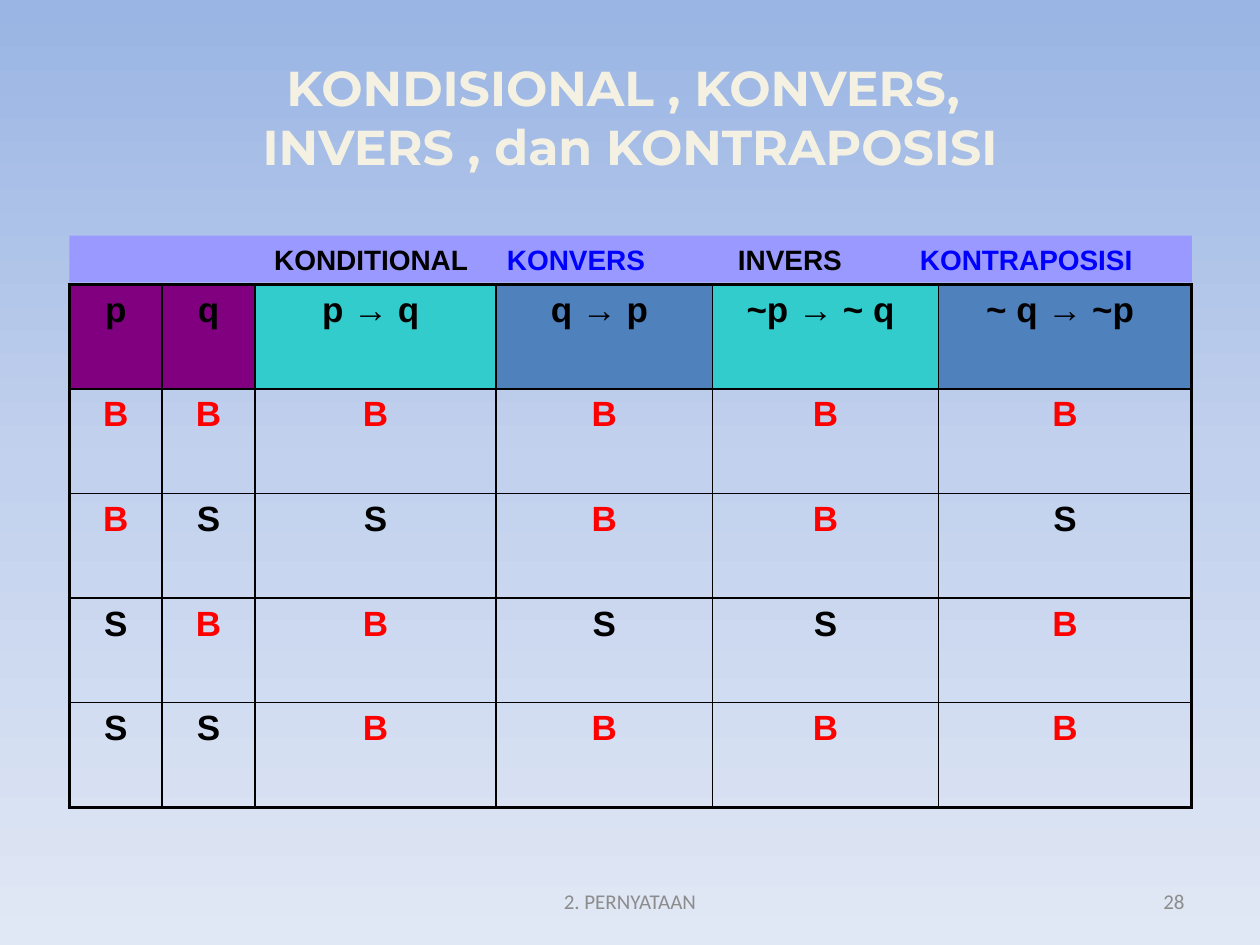
from copy import deepcopy

from lxml import etree
from pptx import Presentation
from pptx.dml.color import RGBColor
from pptx.enum.shapes import MSO_SHAPE
from pptx.enum.text import MSO_ANCHOR, PP_ALIGN
from pptx.oxml.ns import qn
from pptx.util import Pt

CENTER, RIGHT, LEFT = PP_ALIGN.CENTER, PP_ALIGN.RIGHT, PP_ALIGN.LEFT
MIDDLE = MSO_ANCHOR.MIDDLE
RECTANGLE = MSO_SHAPE.RECTANGLE

COLORS = {
    "sky_top": "9AB5E4", "sky_middle": "C2D1ED", "sky_bottom": "E1E8F5",
    "title": "F4F1E3", "outline": "054697", "footer": "8C8C8C",
    "black": "000000", "red": "FF0000", "blue": "0000FF",
    "bar": "9999FF", "purple": "800080", "teal": "33CCCC", "steel": "4F81BD",
}
TITLE = {"name": "Montserrat", "size": Pt(28), "bold": True}
FOOTER = {"name": "Calibri", "size": Pt(12)}
CELL = {"name": "Arial", "size": Pt(20), "bold": True}
LABEL = {"name": "Arial", "size": Pt(16), "bold": True}


def add_run(p, text, style, color):
    r = p.add_run()
    r.text = text
    for key, value in style.items():
        setattr(r.font, key, value)
    r.font.color.rgb = RGBColor.from_string(COLORS[color])
    return r


def add_line(parent, index, tag, width, color):
    ln = etree.Element(qn(tag), w=str(Pt(width)))
    fill = etree.SubElement(ln, qn("a:solidFill"))
    etree.SubElement(fill, qn("a:srgbClr"), val=COLORS[color])
    parent.insert(index, ln)


prs = Presentation()
prs.slide_width, prs.slide_height = Pt(720), Pt(540)
s = prs.slides.add_slide(prs.slide_layouts[5])

fill = s.background.fill
fill.gradient()
fill.gradient_angle = 270
stops = s.background._cSld.find(".//" + qn("a:gsLst"))
stops.append(deepcopy(stops[0]))
for stop, position, color in zip(fill.gradient_stops, (0, 0.5, 1),
                                 ("sky_top", "sky_middle", "sky_bottom")):
    stop.position = position
    stop.color.rgb = RGBColor.from_string(COLORS[color])

title = s.shapes.title
title.left, title.top, title.width, title.height = Pt(36), Pt(21.6), Pt(648), Pt(90)
tf = title.text_frame
tf.vertical_anchor = MIDDLE
p = tf.paragraphs[0]
p.alignment = CENTER
for i, text in enumerate(("KONDISIONAL , KONVERS, ", "INVERS , dan KONTRAPOSISI")):
    if i:
        p.add_line_break()
    r = add_run(p, text, TITLE, "title")
    add_line(r.font._element, 0, "a:ln", 1, "outline")

for left, width, text, align in ((246, 228, "2. PERNYATAAN", CENTER), (516, 168, "28", RIGHT)):
    sp = s.shapes.add_textbox(Pt(left), Pt(500.5), Pt(width), Pt(28.75))
    tf = sp.text_frame
    tf.word_wrap = True
    tf.vertical_anchor = MIDDLE
    p = tf.paragraphs[0]
    p.alignment = align
    add_run(p, text, FOOTER, "footer")

ROWS = [
    ("p", "q", "p → q ", "q → p ", "~p → ~ q ", "~ q → ~p "),
    "BBBBBB",
    "BSSBBS",
    "SBBSSB",
    "SSBBBB",
]
HEADER_FILLS = ("purple", "purple", "teal", "steel", "teal", "steel")
WIDTHS = (53.1, 53.1, 137.7, 123.8, 128.9, 144.9)
ROW_HEIGHT = 59.76
table = s.shapes.add_table(len(ROWS), len(WIDTHS), Pt(39.6), Pt(162.5),
                           Pt(sum(WIDTHS)), Pt(ROW_HEIGHT * len(ROWS))).table
table.first_row = table.horz_banding = False
for column, width in zip(table.columns, WIDTHS):
    column.width = Pt(width)
for i, values in enumerate(ROWS):
    table.rows[i].height = Pt(ROW_HEIGHT)
    for j, value in enumerate(values):
        cell = table.cell(i, j)
        if i == 0:
            cell.fill.solid()
            cell.fill.fore_color.rgb = RGBColor.from_string(COLORS[HEADER_FILLS[j]])
        else:
            cell.fill.background()
        p = cell.text_frame.paragraphs[0]
        p.alignment = CENTER
        add_run(p, value, CELL, "red" if value == "B" else "black")
        outer = {"L": j == 0, "R": j == len(WIDTHS) - 1, "T": i == 0, "B": i == len(ROWS) - 1}
        for index, (side, thick) in enumerate(outer.items()):
            add_line(cell._tc.get_or_add_tcPr(), index, "a:ln" + side,
                     2.25 if thick else 1, "black")

bar = s.shapes.add_shape(RECTANGLE, Pt(39.6), Pt(134.7), Pt(641.5), Pt(26.65))
bar.shadow.inherit = False
bar.fill.solid()
bar.fill.fore_color.rgb = RGBColor.from_string(COLORS["bar"])
bar.line.fill.background()
tf = bar.text_frame
tf.word_wrap = True
p = tf.paragraphs[0]
p.alignment = LEFT
LABELS = (("KONDITIONAL", 110, "black"), ("KONVERS", 243, "blue"),
          ("INVERS", 375, "black"), ("KONTRAPOSISI", 479, "blue"))
tabs = etree.SubElement(p._p.get_or_add_pPr(), qn("a:tabLst"))
for text, position, color in LABELS:
    etree.SubElement(tabs, qn("a:tab"), pos=str(Pt(position)), algn="l")
    add_run(p, "\t" + text, LABEL, color)

prs.save("out.pptx")
